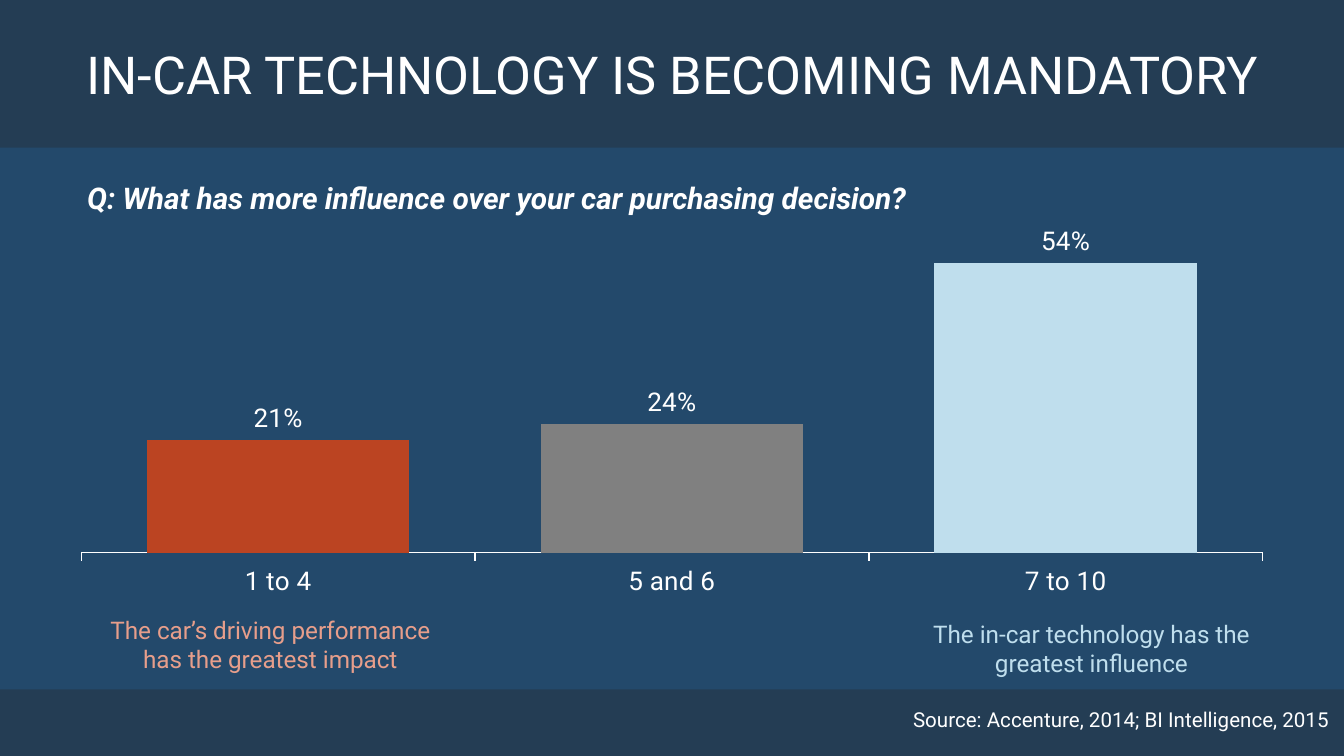
from lxml.etree import SubElement
from pptx import Presentation
from pptx.chart.data import CategoryChartData
from pptx.dml.color import RGBColor
from pptx.enum.chart import XL_CHART_TYPE, XL_LABEL_POSITION, XL_TICK_MARK
from pptx.enum.shapes import MSO_SHAPE
from pptx.enum.text import MSO_ANCHOR, PP_ALIGN
from pptx.oxml.ns import qn
from pptx.util import Inches, Pt

WIDTH = 10
HEIGHT = WIDTH * 9 / 16
FONT = "Roboto"
COLORS = {
    "back": "23496B",
    "band": "243D54",
    "white": "FFFFFF",
    "rust": "BB4422",
    "gray": "808080",
    "ice": "BFDEED",
    "peach": "E79E8B",
}


def color(name):
    return RGBColor.from_string(COLORS[name])


def paint(fill, name):
    fill.solid()
    fill.fore_color.rgb = color(name)


def place(shape, box):
    shape.left, shape.top, shape.width, shape.height = map(Inches, box)


def style(font, size, tint="white", strong=False):
    font.name = FONT
    font.size = Pt(size)
    font.color.rgb = color(tint)
    font.bold = font.italic = strong


def write(shape, text, size, tint="white", align=PP_ALIGN.CENTER,
          anchor=MSO_ANCHOR.TOP, strong=False):
    frame = shape.text_frame
    frame.word_wrap = True
    frame.vertical_anchor = anchor
    frame.text = text
    para = frame.paragraphs[0]
    para.alignment = align
    para.space_before = Pt(0)
    style(para.runs[0].font, size, tint, strong)


def add_band(slide, top, bottom):
    """Add a full-width band behind the title."""
    band = slide.shapes.add_shape(
        MSO_SHAPE.RECTANGLE, 0, Inches(top), Inches(WIDTH),
        Inches(bottom - top))
    band.shadow.inherit = False
    paint(band.fill, "band")
    band.line.fill.background()
    slide.shapes.title.element.addprevious(band.element)


def add_text(slide, box, text, size, **look):
    write(slide.shapes.add_textbox(*map(Inches, box)), text, size, **look)


def fix_plot(chart, height):
    """Give the inner plot the full width and a share of the height."""
    area = chart.element.find(".//" + qn("c:plotArea"))
    layout = area.find(qn("c:layout"))
    if layout is None:
        layout = SubElement(area, qn("c:layout"))
        area.insert(0, layout)
    manual = SubElement(layout, qn("c:manualLayout"))
    parts = [("layoutTarget", "inner"), ("xMode", "edge"), ("yMode", "edge"),
             ("x", 0), ("y", 0), ("w", 1), ("h", height)]
    for tag, value in parts:
        SubElement(manual, qn("c:" + tag)).set("val", str(value))


def add_bars(slide, box):
    data = CategoryChartData(number_format="0%")
    data.categories = ["1 to 4", "5 and 6", "7 to 10"]
    data.add_series("Series 1", [0.21, 0.24, 0.54])
    chart = slide.shapes.add_chart(
        XL_CHART_TYPE.COLUMN_CLUSTERED, *map(Inches, box), data).chart
    chart.has_legend = chart.has_title = False
    style(chart.font, 14)

    axis = chart.category_axis
    axis.major_tick_mark = XL_TICK_MARK.OUTSIDE
    axis.format.line.color.rgb = color("white")
    axis.format.line.width = Pt(0.75)
    scale = chart.value_axis
    scale.visible = scale.has_major_gridlines = False
    scale.minimum_scale, scale.maximum_scale = 0, 0.6

    plot = chart.plots[0]
    plot.gap_width = 50
    plot.vary_by_categories = False
    plot.has_data_labels = True
    labels = plot.data_labels
    labels.show_value = True
    labels.number_format = "0%"
    labels.number_format_is_linked = False
    labels.position = XL_LABEL_POSITION.OUTSIDE_END
    style(labels.font, 14)

    bars = plot.series[0]
    paint(bars.format.fill, "ice")
    for index, name in enumerate(["rust", "gray"]):
        paint(bars.points[index].format.fill, name)
    fix_plot(chart, 0.77)


def main():
    deck = Presentation()
    deck.slide_width, deck.slide_height = Inches(WIDTH), Inches(HEIGHT)
    slide = deck.slides.add_slide(deck.slide_layouts[5])
    paint(slide.background.fill, "back")

    add_band(slide, 5.13, HEIGHT)
    add_band(slide, 0, 1.1)
    title = slide.shapes.title
    place(title, (0, 0, WIDTH, 1.1))
    write(title, "IN-CAR TECHNOLOGY IS BECOMING MANDATORY", 28,
          anchor=MSO_ANCHOR.MIDDLE)
    add_text(slide, (6.35, 5.15, 3.64, 0.4),
             "Source: Accenture, 2014; BI Intelligence, 2015", 11,
             align=PP_ALIGN.RIGHT, anchor=MSO_ANCHOR.MIDDLE)

    add_bars(slide, (0.6, 1.68, 8.8, 3.15))
    add_text(slide, (0.55, 1.29, 8.8, 0.4),
             "Q: What has more influence over your car purchasing decision?",
             16, align=PP_ALIGN.LEFT, strong=True)
    add_text(slide, (0.6, 4.53, 2.82, 0.54),
             "The car’s driving performance has the greatest impact",
             13, tint="peach")
    add_text(slide, (6.83, 4.56, 2.58, 0.54),
             "The in-car technology has the greatest influence",
             13, tint="ice")
    deck.save("out.pptx")


if __name__ == "__main__":
    main()
